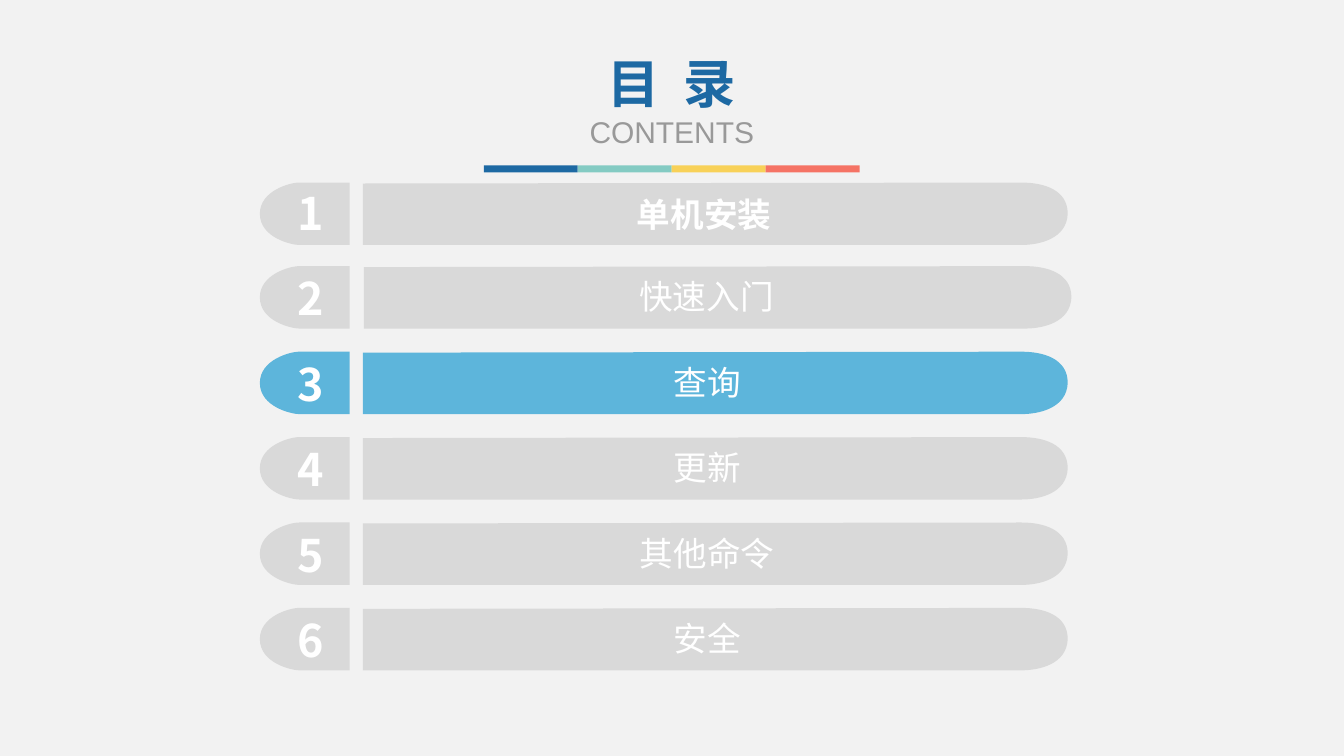
"""Build a contents slide with six numbered rows, the third one highlighted."""
import pptx
import pptx.dml.color
import pptx.enum.shapes
import pptx.enum.text
import pptx.oxml.ns
import pptx.util
from lxml import etree

Pt = pptx.util.Pt
RGBColor = pptx.dml.color.RGBColor
qn = pptx.oxml.ns.qn

BACKGROUND = RGBColor(0xF2, 0xF2, 0xF2)
BLUE = RGBColor(0x1D, 0x69, 0xA3)
TEAL = RGBColor(0x84, 0xCB, 0xC3)
YELLOW = RGBColor(0xF8, 0xD1, 0x58)
CORAL = RGBColor(0xF5, 0x73, 0x65)
GREY_TEXT = RGBColor(0x99, 0x99, 0x99)
GREY_ROW = RGBColor(0xD9, 0xD9, 0xD9)
ACTIVE_ROW = RGBColor(0x5D, 0xB5, 0xDB)
WHITE = RGBColor(0xFF, 0xFF, 0xFF)

CJK_FONT = "Noto Sans CJK SC"
ROW_HEIGHT = 44.6
CAP_LEFT = 185.6
ACTIVE_NUMBER = 3

ROWS = [
    ("单机安装", 130.4, 259.2, 503.5, 263.5, 478.8),
    ("快速入门", 190.1, 259.9, 505.4, 263.5, 482.4),
    ("查询", 251.2, 259.2, 503.5, 262.4, 485.3),
    ("更新", 312.2, 259.2, 503.5, 262.4, 485.3),
    ("其他命令", 373.2, 259.2, 503.5, 262.4, 485.3),
    ("安全", 434.2, 259.2, 503.5, 262.4, 485.3),
]


def cap_segments():
    """Return the number cap as lines (one point) and curves (three points)."""
    return [[(64.1, 0)], [(64.1, ROW_HEIGHT)], [(28.1, ROW_HEIGHT)],
            [(23, ROW_HEIGHT), (0, 39.6), (0, 22.3)],
            [(0, 5.8), (21.6, 0), (28.1, 0)]]


def bar_segments(width):
    """Return the label bar as lines (one point) and curves (three points)."""
    shoulder = width - 33.2
    return [[(0, 0.7)], [(0, ROW_HEIGHT)], [(shoulder, ROW_HEIGHT)],
            [(width - 20.3, ROW_HEIGHT), (width - 0.7, 40.3), (width, 22.3)],
            [(width, 5), (width - 17.3, 0), (shoulder, 0)]]


class SlideBuilder:
    """Hold the style and the current slide."""

    def __init__(self, slide):
        """Keep the slide and paint its background."""
        self.slide = slide
        slide.background.fill.solid()
        slide.background.fill.fore_color.rgb = BACKGROUND

    def paint(self, shape, color):
        """Give a shape a plain fill."""
        shape.shadow.inherit = False
        shape.fill.solid()
        shape.fill.fore_color.rgb = color
        shape.line.fill.background()

    def rectangle(self, left, top, width, height, color):
        """Draw a filled rectangle."""
        shape = self.slide.shapes.add_shape(
            pptx.enum.shapes.MSO_SHAPE.RECTANGLE,
            Pt(left), Pt(top), Pt(width), Pt(height))
        self.paint(shape, color)

    def outline(self, left, top, segments, color):
        """Draw a filled freeform, turning three-point segments into curves."""
        placed = [(Pt(left + x), Pt(top + y)) for segment in segments for x, y in segment]
        builder = self.slide.shapes.build_freeform(*placed[0])
        builder.add_line_segments(placed[1:], close=True)
        shape = builder.convert_to_shape()
        self.paint(shape, color)
        lines = iter(list(shape._element.iter(qn("a:lnTo"))))
        for segment in segments[1:]:
            members = [next(lines) for _ in segment]
            if len(members) == 3:
                bezier = etree.Element(qn("a:cubicBezTo"))
                members[0].addprevious(bezier)
                for member in members:
                    bezier.append(member[0])
                    member.getparent().remove(member)

    def text(self, left, top, width, height, lines, wrap=True):
        """Write centred lines of (text, size, font, color, bold, spacing)."""
        box = self.slide.shapes.add_textbox(Pt(left), Pt(top), Pt(width), Pt(height))
        frame = box.text_frame
        frame.word_wrap = wrap
        frame.text = "\n".join(line[0] for line in lines)
        for paragraph, line in zip(frame.paragraphs, lines):
            _, size, font, color, bold, spacing = line
            paragraph.alignment = pptx.enum.text.PP_ALIGN.CENTER
            for run in paragraph.runs:
                run.font.size = Pt(size)
                run.font.name = font
                run.font.bold = bold
                run.font.color.rgb = color
                properties = run.font._element
                east_asian = etree.SubElement(properties, qn("a:ea"))
                east_asian.set("typeface", font)
                if spacing:
                    properties.set("spc", str(round(spacing * 100)))

    def row(self, number, label, top, bar_left, bar_width, label_left, label_width):
        """Draw one numbered contents row."""
        color = ACTIVE_ROW if number == ACTIVE_NUMBER else GREY_ROW
        first = number == 1
        self.outline(bar_left, top, bar_segments(bar_width), color)
        self.outline(CAP_LEFT, top, cap_segments(), color)
        self.text(204.8, top - 1.5 * first, 34.6, 46,
                  [(str(number), 32, CJK_FONT, WHITE, True, 0)], wrap=False)
        self.text(label_left, top + 3.8 + first, label_width, 36,
                  [(label, 24, CJK_FONT, WHITE, first, 0)])


def main():
    """Build and save the slide."""
    presentation = pptx.Presentation()
    presentation.slide_width = Pt(960)
    presentation.slide_height = Pt(540)
    builder = SlideBuilder(presentation.slides.add_slide(presentation.slide_layouts[6]))
    for index, color in enumerate((BLUE, TEAL, YELLOW, CORAL)):
        builder.rectangle(345.6 + index * 67.1, 118.2, 67.1, 5, color)
    builder.text(402.1, 32.8, 155.5, 78.5, [
        ("目 录", 37.4, "Roboto Condensed", BLUE, True, 4.2),
        ("CONTENTS", 21.4, "Arial", GREY_TEXT, False, 0)])
    for number, row in enumerate(ROWS, start=1):
        builder.row(number, *row)
    presentation.save("out.pptx")


if __name__ == "__main__":
    main()
